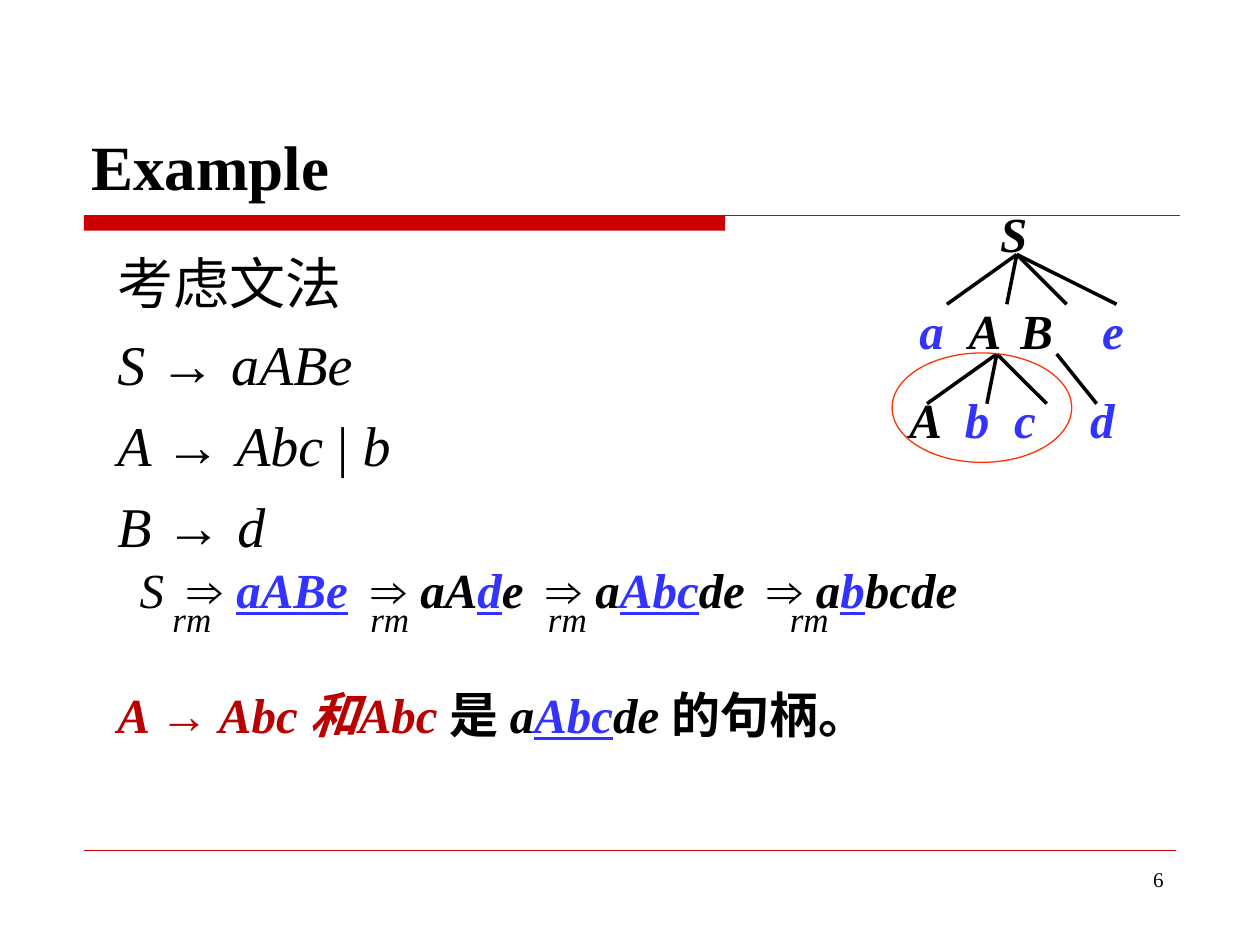
from lxml.etree import SubElement
from pptx import Presentation
from pptx.dml.color import RGBColor
from pptx.enum.shapes import MSO_CONNECTOR, MSO_SHAPE
from pptx.enum.text import MSO_ANCHOR, MSO_AUTO_SIZE, PP_ALIGN
from pptx.oxml.ns import qn
from pptx.util import Inches, Pt

BLACK = RGBColor(0x00, 0x00, 0x00)
RED = RGBColor(0xCC, 0x00, 0x00)
DARK_RED = RGBColor(0xB9, 0x00, 0x00)
BLUE = RGBColor(0x33, 0x33, 0xFF)
ORANGE = RGBColor(0xFF, 0x33, 0x00)

SERIF, SANS = "Times New Roman", "Arial"
WIDTH, HEIGHT = 10, 7.5
LINE_28 = 0.57  # height of a one-line box of 28 pt text

# Run styles: only what differs from the paragraph's own font
HANDLE = {"color": BLUE, "underline": True}
TERMINAL = {"color": BLUE}
ARROW = {"name": SANS, "italic": False}
UPRIGHT = {"italic": False}
PLAIN = {}


def style_font(font, color=None, **settings):
    for setting, value in settings.items():
        setattr(font, setting, value)
    if color is not None:
        font.color.rgb = color


def write(paragraph, runs, size, tabs=(), **settings):
    """Fill a paragraph with (text, style) runs; tabs are inches from the text edge."""
    if tabs:
        tab_list = SubElement(paragraph._p.get_or_add_pPr(), qn("a:tabLst"))
        for position in tabs:
            SubElement(tab_list, qn("a:tab"), pos=str(Inches(position)), algn="l")
    style_font(paragraph.font, size=Pt(size), name=SERIF, **{"color": BLACK, **settings})
    for text, style in runs:
        run = paragraph.add_run()
        run.text = text
        style_font(run.font, **style)


def add_box(shapes, left, top, width, height, wrap=True):
    frame = shapes.add_textbox(*map(Inches, (left, top, width, height))).text_frame
    frame.word_wrap = wrap
    return frame


def add_line(shapes, start, end, color, weight):
    line = shapes.add_connector(MSO_CONNECTOR.STRAIGHT, *map(Inches, (*start, *end)))
    line.line.color.rgb = color
    line.line.width = Pt(weight)
    SubElement(line._element.spPr, qn("a:effectLst"))


def add_heading(slide, left, top, width, height):
    title = slide.shapes.title
    title.left, title.top, title.width, title.height = map(
        Inches, (left, top, width, height))
    frame = title.text_frame
    frame.vertical_anchor = MSO_ANCHOR.BOTTOM
    frame.auto_size = MSO_AUTO_SIZE.NONE
    heading = frame.paragraphs[0]
    heading.alignment = PP_ALIGN.LEFT
    write(heading, [("Example", PLAIN)], 36, bold=True)


def add_rule(shapes, left, top, width, height):
    """Thin line across the box with a thick bar under its first part."""
    bar = shapes.add_shape(MSO_SHAPE.RECTANGLE, *map(
        Inches, (left, top, width * 0.585, height)))
    bar.shadow.inherit = False
    bar.fill.solid()
    bar.fill.fore_color.rgb = RED
    bar.line.fill.background()
    add_line(shapes, (left, top), (left + width, top), RED, 0.75)


def add_footer(shapes, left, top, width, height):
    add_line(shapes, (left, top), (left + width, top), RED, 0.25)
    number = add_box(shapes, left + width * 0.75, top + 0.08,
                     width * 0.25, height - 0.08).paragraphs[0]
    number.alignment = PP_ALIGN.RIGHT
    write(number, [("6", PLAIN)], 12)


def add_grammar(shapes, left, top, width, height):
    frame = add_box(shapes, left, top, width, height)
    rules = [
        [("考虑文法", UPRIGHT)],
        [("S ", PLAIN), ("→ ", ARROW), ("aABe", PLAIN)],
        [("A ", PLAIN), ("→ ", ARROW), ("Abc", PLAIN), (" | ", UPRIGHT), ("b", PLAIN)],
        [("B ", PLAIN), ("→ ", ARROW), ("d", PLAIN)],
    ]
    for index, runs in enumerate(rules):
        paragraph = frame.add_paragraph() if index else frame.paragraphs[0]
        if index:
            paragraph.space_before = Pt(8)
        write(paragraph, runs, 32, italic=True)


def add_derivation(shapes, left, top, width, height):
    steps = [
        [("aABe", HANDLE)],
        [("aA", PLAIN), ("d", HANDLE), ("e", PLAIN)],
        [("a", PLAIN), ("Abc", HANDLE), ("de", PLAIN)],
        [("a", PLAIN), ("b", HANDLE), ("bcde", PLAIN)],
    ]
    runs = [("S", {"bold": False})]
    for step in steps:
        runs += [("\t", PLAIN), ("⇒ ", ARROW), *step]
    sentence = add_box(shapes, left, top, width, LINE_28).paragraphs[0]
    write(sentence, runs, 28, tabs=(0.38, 1.84, 3.23, 4.98), bold=True, italic=True)
    for offset in (0.26, 1.83, 3.24, 5.16):
        mark = add_box(shapes, left + offset, top + 0.3, 0.51, height - 0.3, wrap=False)
        write(mark.paragraphs[0], [("rm", PLAIN)], 20, italic=True)


def add_conclusion(shapes, left, top, width, height):
    runs = [
        ("A ", PLAIN), ("→", {"name": SANS}), (" Abc 和Abc ", PLAIN),
        ("是 ", {"color": BLACK, "italic": False}), ("a", {"color": BLACK}),
        ("Abc", HANDLE), ("de ", {"color": BLACK}),
        ("的句柄。", {"color": BLACK, "italic": False}),
    ]
    paragraph = add_box(shapes, left, top, width, height).paragraphs[0]
    write(paragraph, runs, 28, color=DARK_RED, bold=True, italic=True)


def add_parse_tree(shapes, left, top, width, height):
    """Tree on a grid of 25 columns and 26.6 rows."""
    tree = shapes.add_group_shape().shapes
    column, row = width / 25, height / 26.6

    def at(x, y):
        return left + x * column, top + y * row

    levels = [
        (9.6, 0, 5.2, (), [("S", PLAIN)]),
        (1.5, 9.75, 23.5, (0.39, 0.8, 1.45),
         [("a", TERMINAL), ("\tA\tB\t", PLAIN), ("e", TERMINAL)]),
        (18.6, 18.6, 5, (), [("d", TERMINAL)]),
        (0.5, 18.6, 15.3, (0.44, 0.83), [("A\t", PLAIN), ("b\tc", TERMINAL)]),
    ]
    for x, y, columns, tabs, runs in levels:
        label = add_box(tree, *at(x, y), columns * column, LINE_28, wrap=bool(tabs))
        write(label.paragraphs[0], runs, 28, tabs=tabs, bold=True, italic=True)

    # Each parent: column, row, and the columns its branches reach 5 rows below
    parents = [
        (12.5, 5.7, (5.5, 11.5, 17.5, 22.5)),
        (10.5, 15.7, (3.5, 9.5, 15.5)),
        (16.5, 15.7, (20.5,)),
    ]
    for x, y, children in parents:
        for child in children:
            add_line(tree, at(x, y), at(child, y + 5), BLACK, 2)

    handle_ring = tree.add_shape(MSO_SHAPE.OVAL, *map(
        Inches, (*at(0, 15.6), 18 * column, 11 * row)))
    handle_ring.shadow.inherit = False
    handle_ring.fill.background()
    handle_ring.line.color.rgb = ORANGE
    handle_ring.line.width = Pt(0.75)


def main():
    deck = Presentation()
    deck.slide_width, deck.slide_height = Inches(WIDTH), Inches(HEIGHT)
    slide = deck.slides.add_slide(deck.slide_layouts[5])
    shapes = slide.shapes
    margin = WIDTH / 15
    add_rule(shapes, margin, 1.71, 0.87 * WIDTH, 0.12)
    add_footer(shapes, margin, 0.9 * HEIGHT, WIDTH - 2 * margin, 0.08 * HEIGHT)
    add_heading(slide, WIDTH / 16, 0.33, WIDTH * 7 / 8, 1.33)
    add_derivation(shapes, 1.01, 4.39, 6.81, 0.74)
    add_conclusion(shapes, WIDTH / 12, 5.38, 8.35, LINE_28)
    add_parse_tree(shapes, 7.08, 1.57, 1.98, 2.1)
    add_grammar(shapes, WIDTH / 12, 1.92, 5.59, 2.57)
    deck.save("out.pptx")


if __name__ == "__main__":
    main()
